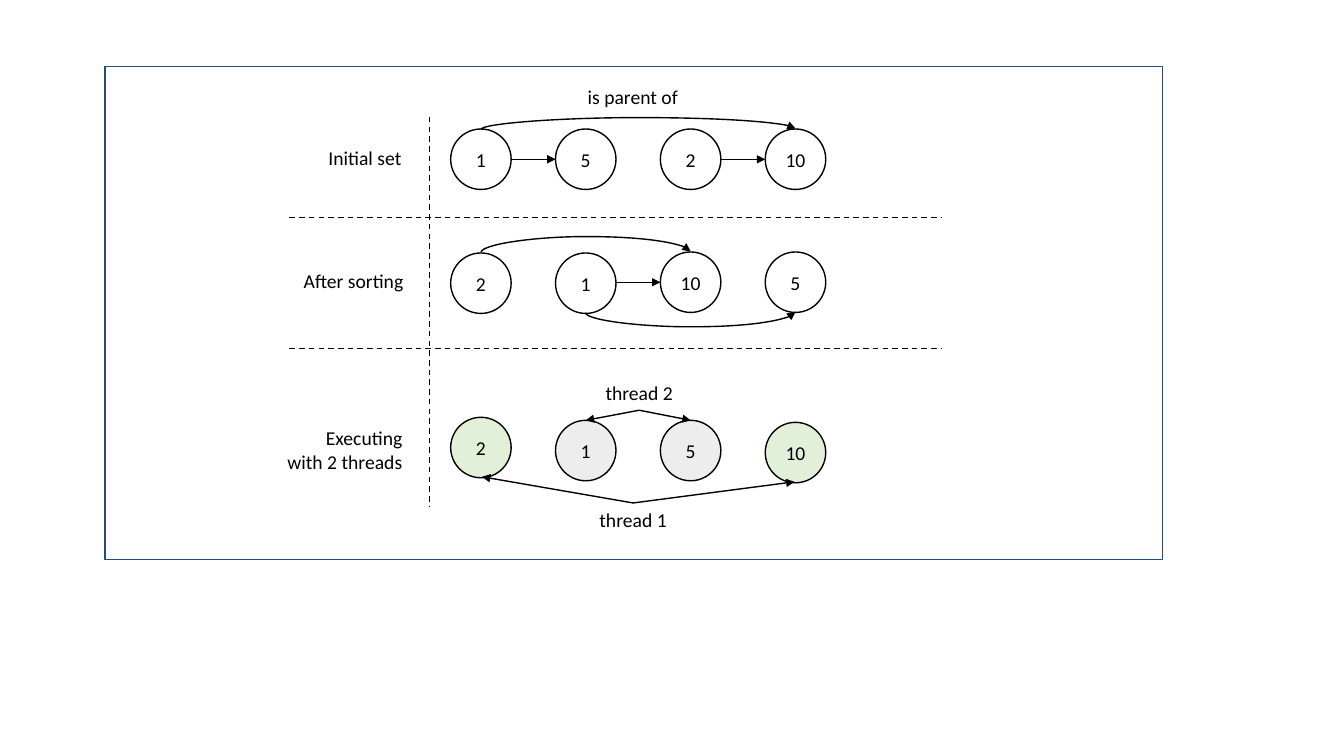
"""Build the slide on sorting a parent set and running it with two threads."""
from pptx import Presentation
from pptx.dml.color import RGBColor
from pptx.enum.dml import MSO_LINE
from pptx.enum.shapes import MSO_CONNECTOR, MSO_SHAPE
from pptx.enum.text import MSO_ANCHOR, MSO_AUTO_SIZE, PP_ALIGN
from pptx.oxml.ns import qn
from pptx.util import Inches, Pt
from lxml.etree import SubElement

HUES = {"black": "000000", "white": "FFFFFF", "navy": "1F4E79",
        "green": "E2F0D9", "gray": "EDEDED"}
SIZE, STEP, LEFT = 0.6, 1.04, 4.47


def write(frame, text, align=PP_ALIGN.CENTER, wrap=False, size=14, font="Calibri", hue="black"):
    frame.word_wrap = wrap
    for spot, words in enumerate(text.split("\n")):
        para = frame.add_paragraph() if spot else frame.paragraphs[0]
        para.alignment = align
        run = para.add_run()
        run.text = words
        run.font.size, run.font.name = Pt(size), font
        run.font.color.rgb = RGBColor.from_string(HUES[hue])


def link(start, end, kind=MSO_CONNECTOR.STRAIGHT, dash=False):
    line = slide.shapes.add_connector(kind, *map(Inches, start + end))
    line.line.color.rgb = RGBColor.from_string(HUES["black"])
    line.line.width = Pt(1)
    if dash:
        line.line.dash_style = MSO_LINE.DASH
    else:
        SubElement(line.line._get_or_add_ln(), qn("a:tailEnd"), type="triangle")
    SubElement(line._element.spPr, qn("a:effectLst"))
    return line


deck = Presentation()
deck.slide_width, deck.slide_height = Inches(13.33), Inches(7.5)
slide = deck.slides.add_slide(deck.slide_layouts[6])

panel = (MSO_SHAPE.RECTANGLE, 1.04, 0.66, 10.49, 4.89, "white", "navy", "")
rows = [
    ("1 5 2 10", [1.28] * 4, ["white"] * 4),
    ("2 1 10 5", [2.51, 2.51, 2.5, 2.5], ["white"] * 4),
    ("2 1 5 10", [4.14, 4.17, 4.17, 4.19], ["green", "gray", "gray", "green"]),
]
nodes = [(MSO_SHAPE.OVAL, LEFT + STEP * col, top, SIZE, SIZE, fill, "black", text)
         for names, tops, fills in rows
         for col, (text, top, fill) in enumerate(zip(names.split(), tops, fills))]

for kind, left, top, width, height, fill, edge, text in [panel] + nodes:
    shape = slide.shapes.add_shape(kind, *map(Inches, (left, top, width, height)))
    shape.shadow.inherit = False
    shape.fill.solid()
    shape.fill.fore_color.rgb = RGBColor.from_string(HUES[fill])
    shape.line.color.rgb = RGBColor.from_string(HUES[edge])
    shape.line.width = Pt(1)
    if text:
        frame = shape.text_frame
        frame.margin_left = frame.margin_right = 0
        frame.vertical_anchor = MSO_ANCHOR.MIDDLE
        write(frame, text)

labels = [
    ("is parent of", 5.73, 0.79, 1.11, 0.34, PP_ALIGN.LEFT, False),
    ("Initial set", 3.14, 1.4, 0.94, 0.34, PP_ALIGN.RIGHT, False),
    ("After sorting", 2.89, 2.62, 1.21, 0.34, PP_ALIGN.RIGHT, False),
    ("Executing\nwith 2 threads", 2.74, 4.18, 1.35, 0.57, PP_ALIGN.RIGHT, False),
    ("thread 1", 5.68, 4.99, 1.2, 0.34, PP_ALIGN.CENTER, True),
    ("thread 2", 5.74, 3.73, 1.2, 0.34, PP_ALIGN.CENTER, True),
]
for text, left, top, width, height, align, wrap in labels:
    box = slide.shapes.add_textbox(*map(Inches, (left, top, width, height)))
    box.text_frame.auto_size = MSO_AUTO_SIZE.SHAPE_TO_FIT_TEXT
    write(box.text_frame, text, align=align, wrap=wrap)

link((4.26, 1.16), (4.26, 5.03), dash=True)
for y in (2.16, 3.46):
    link((2.87, y), (9.34, y), dash=True)

for col, y in ((0, 1.58), (2, 1.58), (1, 2.8)):
    x = LEFT + STEP * col + SIZE
    link((x, y), (x + STEP - SIZE, y))

forks = [((6.28, 4.99), (7.88, 4.78), (4.78, 4.73)),
         ((6.34, 4.07), (6.85, 4.17), (5.81, 4.17))]
for root, *tips in forks:
    for tip in tips:
        link(root, tip)

THIN = 0.01
for first, last, y, rise in ((0, 3, 1.28, 0.12), (0, 2, 2.5, 0.16), (1, 3, 3.1, -0.14)):
    mid = LEFT + SIZE / 2 + STEP * (first + last) / 2
    half = STEP * (last - first) / 2
    curve = link((mid + THIN / 2, y + half), (mid - THIN / 2, y - half), MSO_CONNECTOR.CURVE)
    form = curve._element.spPr
    form.find(qn("a:xfrm")).set("rot", "5400000")
    guides = form.find(qn("a:prstGeom")).find(qn("a:avLst"))
    SubElement(guides, qn("a:gd"), name="adj1", fmla=f"val {round(rise / THIN * 100000)}")

deck.save("out.pptx")
